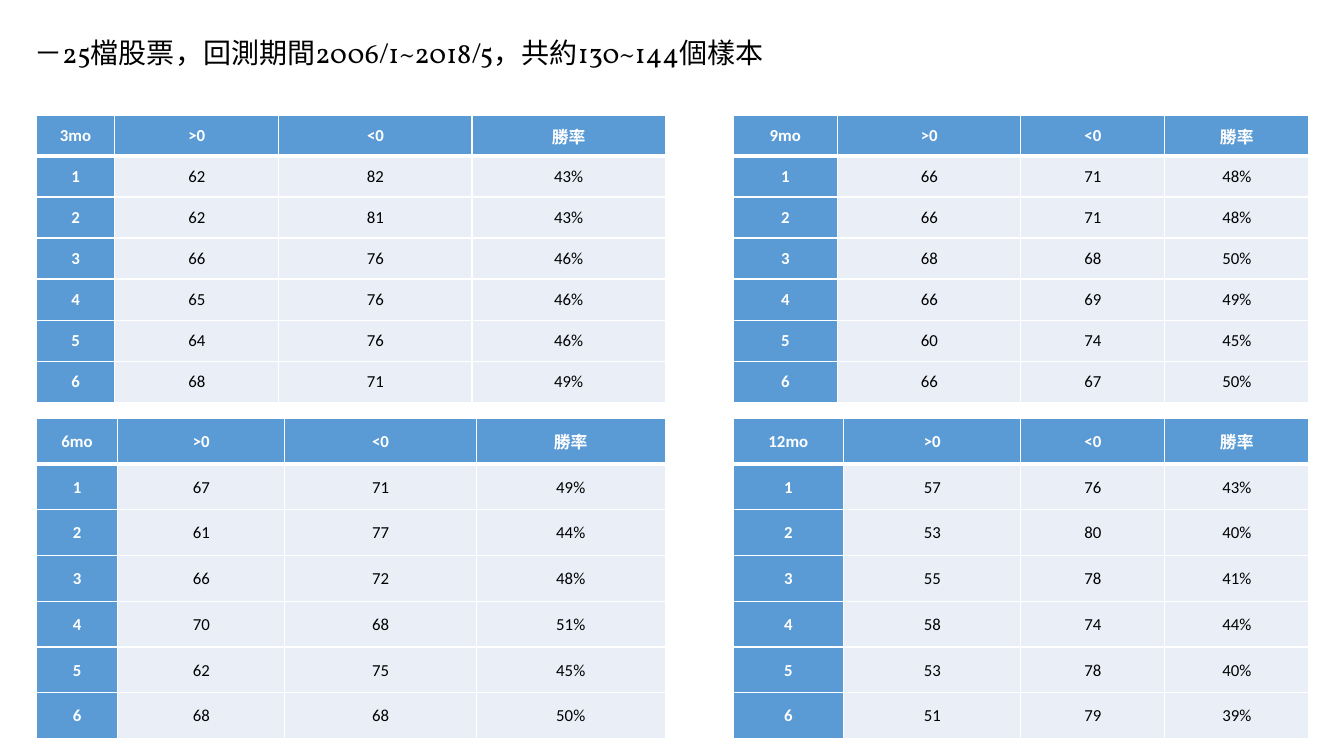
import pptx
import pptx.dml.color
import pptx.enum.text
import pptx.oxml
import pptx.oxml.ns
import pptx.util

BLUE, PALE, WHITE, BLACK = "5B9BD5", "EAEFF7", "FFFFFF", "000000"
ALIGN = pptx.enum.text.PP_ALIGN
MID = pptx.enum.text.MSO_ANCHOR.MIDDLE

# Horizontal and vertical bands: start and length, in percent of the slide
LEFT, RIGHT = (2.7, 46.81), (54.54, 42.84)
TOP, LOW = (15.2, 38), (55.33, 42.4)

# Month span, bands, column weights, then (gains, losses) per row
TABLES = [
    ("3mo", LEFT, TOP, (0.78, 1.63, 1.92, 1.92),
     [(62, 82), (62, 81), (66, 76), (65, 76), (64, 76), (68, 71)]),
    ("6mo", LEFT, LOW, (0.81, 1.66, 1.9, 1.88),
     [(67, 71), (61, 77), (66, 72), (70, 68), (62, 75), (68, 68)]),
    ("9mo", RIGHT, TOP, (1.04, 1.82, 1.43, 1.43),
     [(66, 71), (66, 71), (68, 68), (66, 69), (60, 74), (66, 67)]),
    ("12mo", RIGHT, LOW, (1.1, 1.76, 1.43, 1.43),
     [(57, 76), (53, 80), (55, 78), (58, 74), (53, 78), (51, 79)]),
]

deck = pptx.Presentation()
deck.slide_width = pptx.util.Inches(13.33)
deck.slide_height = pptx.util.Inches(7.5)


def color(code):
    return pptx.dml.color.RGBColor.from_string(code)


def place(across, down):
    """Turn two percent bands into left, top, width and height."""
    wide, high = deck.slide_width / 100, deck.slide_height / 100
    return [round(n) for n in (across[0] * wide, down[0] * high,
                               across[1] * wide, down[1] * high)]


def write(frame, text, size=12, font="Calibri", ink=BLACK, bold=False,
          align=ALIGN.CENTER, space=1.0):
    para = frame.paragraphs[0]
    para.alignment, para.line_spacing = align, space
    run = para.add_run()
    run.text = text
    run.font.size, run.font.name = pptx.util.Pt(size), font
    run.font.bold, run.font.color.rgb = bold, color(ink)


def edge(cell, side, width):
    """Draw one white cell border; side is L, R, T or B."""
    line = pptx.oxml.parse_xml(
        f'<a:ln{side} {pptx.oxml.ns.nsdecls("a")} w="{pptx.util.Pt(width)}">'
        f'<a:solidFill><a:srgbClr val="{WHITE}"/></a:solidFill></a:ln{side}>')
    cell._tc.get_or_add_tcPr().append(line)


def fill(cell, text, row, col):
    head = row == 0 or col == 0
    cell.vertical_anchor = MID
    cell.margin_left = cell.margin_right = cell.margin_top = pptx.util.Inches(0.01)
    cell.margin_bottom = 0
    for side in "LRTB":
        thick = (row, side) in ((0, "B"), (1, "T"))
        edge(cell, side, 3 if thick else 1)
    cell.fill.solid()
    cell.fill.fore_color.rgb = color(BLUE if head else PALE)
    write(cell.text_frame, text, ink=WHITE if head else BLACK, bold=head)


def grid(slide, span, across, down, cols, pairs):
    rows = [(span, ">0", "<0", "勝率")]
    for rank, (gain, loss) in enumerate(pairs, 1):
        rows.append((rank, gain, loss, f"{gain / (gain + loss):.0%}"))
    box = place(across, down)
    table = slide.shapes.add_table(len(rows), len(cols), *box).table
    table.horz_banding = False
    for col, part in zip(table.columns, cols):
        col.width = round(box[2] * part / sum(cols))
    for r, row in enumerate(rows):
        table.rows[r].height = round(box[3] / len(rows))
        for c, text in enumerate(row):
            fill(table.cell(r, c), str(text), r, c)


def title(slide, text, across, down):
    shape = slide.shapes.title
    shape.left, shape.top, shape.width, shape.height = place(across, down)
    shape.text_frame.vertical_anchor = MID
    write(shape.text_frame, text, size=20, font="Vollkorn",
          align=ALIGN.LEFT, space=0.9)


def main():
    slide = deck.slides.add_slide(deck.slide_layouts[5])
    title(slide, "－25檔股票，回測期間2006/1~2018/5，共約130~144個樣本",
          (1.8, 91.37), (3.07, 8.13))
    for item in TABLES:
        grid(slide, *item)
    deck.save("out.pptx")


if __name__ == "__main__":
    main()
